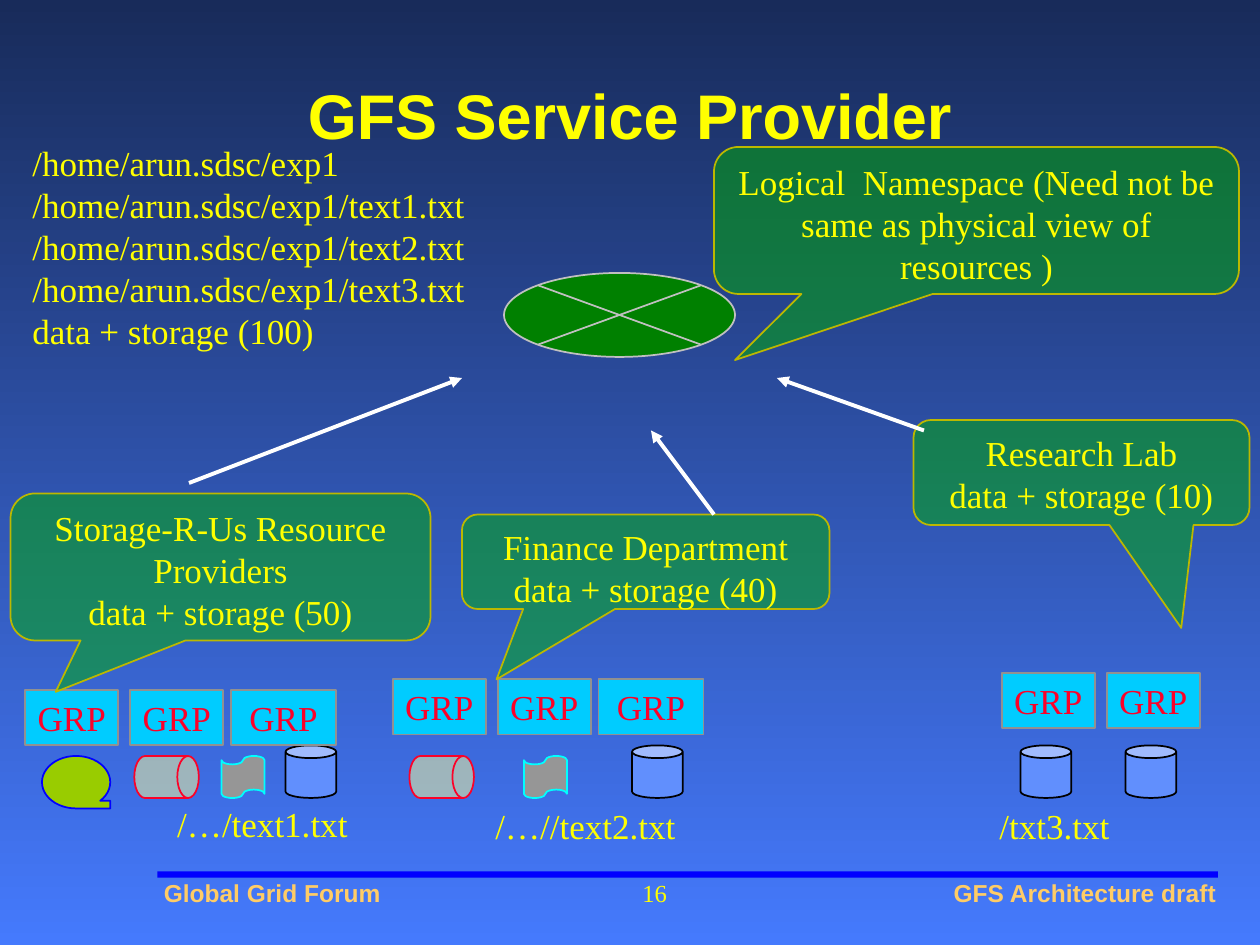
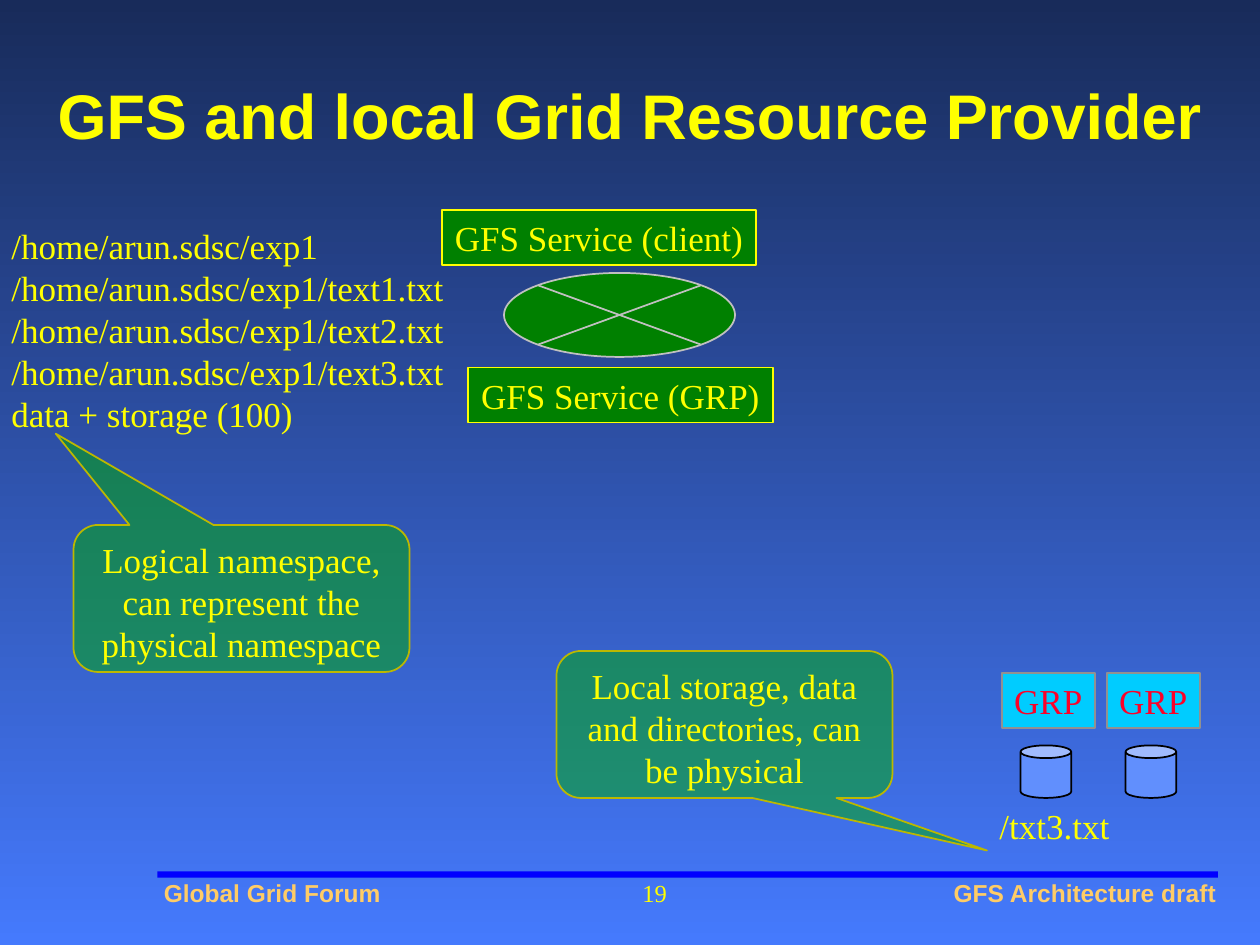
from dataclasses import dataclass

from lxml import etree
from pptx import Presentation
from pptx import util as u
from pptx.dml.color import RGBColor
from pptx.enum import shapes, text
from pptx.oxml.ns import qn

MSO = shapes.MSO_SHAPE
COLS, ROWS = 120, 90
WIDTH, HEIGHT = u.Inches(10), u.Inches(7.5)


@dataclass(frozen=True)
class Theme:
    sky_top: str = "182B5A"
    sky_bottom: str = "457AFD"
    bar: str = "0000FF"
    yellow: str = "FFFF00"
    footer: str = "FFCC66"
    red: str = "FC0128"
    cyan: str = "00CCFF"
    gray: str = "919191"
    service: str = "008000"
    junction_line: str = "C0C0C0"
    callout: str = "00AE00"
    callout_line: str = "BCB800"
    arrow: str = "FFFFFF"
    serif: str = "Times New Roman"
    sans: str = "Arial"
    title_size: int = 36
    body_size: int = 20
    footer_size: int = 14
    body_leading: int = 24


T = Theme()
DEVICES = {
    "can": (MSO.CAN, 71, 4.83, 5, "618FFD", "000000", None),
    "drum": (MSO.FLOWCHART_DIRECT_ACCESS_STORAGE, 72, 6.14, 4, "FFFF99", T.red, 50),
    "reel": (MSO.FLOWCHART_SEQUENTIAL_ACCESS_STORAGE, 72, 6.5, 5, "99CC00", "0000FF", None),
    "tape": (MSO.FLOWCHART_PUNCHED_TAPE, 72, 4.1, 4, "969696", "00FFFF", None),
}
GRP_SLOTS = ((0, 8.86), (10, 8.86), (19.6, 10))
NAMESPACE = "\n".join((
    "/home/arun.sdsc/exp1",
    *(f"/home/arun.sdsc/exp1/text{n}.txt" for n in (1, 2, 3)),
    "data + storage (100)",
))


def col(n):
    return u.Emu(round(n * WIDTH / COLS))


def row(n):
    return u.Emu(round(n * HEIGHT / ROWS))


def place(box):
    x, y, w, h = box
    return col(x), row(y), col(w), row(h)


def rgb(code):
    return RGBColor.from_string(code)


def write(sp, content, size=T.body_size, font=T.serif, color=T.yellow, bold=False,
          align="LEFT", anchor="TOP", wrap=True, inset=0.1, leading=None):
    tf = sp.text_frame
    tf.word_wrap = wrap
    tf.auto_size = text.MSO_AUTO_SIZE.NONE if wrap else text.MSO_AUTO_SIZE.SHAPE_TO_FIT_TEXT
    tf.vertical_anchor = text.MSO_ANCHOR[anchor]
    tf.margin_left, tf.margin_right = u.Inches(inset), u.Inches(0.1)
    tf.margin_top = tf.margin_bottom = u.Inches(0.05)
    for i, line in enumerate(content.split("\n")):
        p = tf.add_paragraph() if i else tf.paragraphs[0]
        p.alignment = text.PP_ALIGN[align]
        if leading:
            p.line_spacing = u.Pt(leading)
        r = p.add_run()
        r.text = line
        r.font.size, r.font.name, r.font.bold = u.Pt(size), font, bold
        r.font.color.rgb = rgb(color)


def add_text(s, box, content, **fmt):
    write(s.shapes.add_textbox(*place(box)), content, **fmt)


def add_shape(s, kind, box, fill, line=None, alpha=None):
    sp = s.shapes.add_shape(kind, *place(box))
    sp.shadow.inherit = False
    sp.fill.solid()
    sp.fill.fore_color.rgb = rgb(fill)
    if alpha:
        clr = sp.element.spPr.find(qn("a:solidFill"))[0]
        etree.SubElement(clr, qn("a:alpha"), val=str(alpha * 1000))
    if line:
        sp.line.color.rgb = rgb(line)
        sp.line.width = u.Pt(1)
    else:
        sp.line.fill.background()
    return sp


def add_label(s, box, content, fill, line, color=T.yellow):
    sp = add_shape(s, MSO.RECTANGLE, box, fill, line)
    write(sp, content, color=color, align="CENTER", anchor="MIDDLE",
          wrap=False, leading=T.body_leading)


def add_grps(s, left, top, count):
    for offset, width in GRP_SLOTS[:count]:
        add_label(s, (left + offset, top, width, 5.25), "GRP", T.cyan, T.gray, T.red)


def add_devices(s, *devices):
    for name, left in devices:
        kind, top, w, h, fill, line, alpha = DEVICES[name]
        add_shape(s, kind, (left, top, w, h), fill, line, alpha)


def add_callout(s, box, tip, content):
    x, y, w, h = box
    sp = add_shape(s, MSO.ROUNDED_RECTANGULAR_CALLOUT, box, T.callout, T.callout_line, 50)
    sp.adjustments[0] = (tip[0] - x) / w - 0.5
    sp.adjustments[1] = (tip[1] - y) / h - 0.5
    write(sp, content, align="CENTER", leading=T.body_leading)


def add_arrow(s, start, end):
    c = s.shapes.add_connector(shapes.MSO_CONNECTOR.STRAIGHT,
                               col(start[0]), row(start[1]), col(end[0]), row(end[1]))
    c.line.color.rgb = rgb(T.arrow)
    c.line.width = u.Pt(2.25)
    sp_pr = c.element.spPr
    etree.SubElement(sp_pr.find(qn("a:ln")), qn("a:tailEnd"), type="triangle")
    etree.SubElement(sp_pr, qn("a:effectLst"))


def add_path(s, left, top, width, content):
    add_text(s, (left, top, width, 5.25), content, wrap=False, leading=T.body_leading)


def add_namespace(s, left, top):
    add_text(s, (left, top, 43.6, 21.2), NAMESPACE, wrap=False, leading=T.body_leading)


def add_junction(s):
    add_shape(s, MSO.FLOWCHART_SUMMING_JUNCTION, (48, 26, 22, 8), T.service, T.junction_line)


def add_research_store(s):
    add_devices(s, ("can", 97.2), ("can", 107.2))
    add_path(s, 94, 76, 13, "/txt3.txt")
    add_grps(s, 95.4, 64.1, 2)


def set_background(prs):
    fill = prs.slide_master.background.fill
    fill.gradient()
    fill.gradient_angle = 270
    for stop, code in zip(fill.gradient_stops, (T.sky_top, T.sky_bottom)):
        stop.color.rgb = rgb(code)


def new_slide(prs, title, number):
    s = prs.slides.add_slide(prs.slide_layouts[6])
    add_shape(s, MSO.RECTANGLE, (15, 83, 101, 0.6), T.bar)
    add_text(s, (60, 83, 6, 4), str(number), size=T.footer_size)
    footer = dict(size=T.footer_size, font=T.sans, color=T.footer, bold=True, inset=0.05)
    add_text(s, (15, 83, 35, 4), "Global Grid Forum", **footer)
    add_text(s, (66, 83, 51, 4), "GFS Architecture draft", align="RIGHT", **footer)
    add_text(s, (2, 4, 116, 13.7), title, size=T.title_size, font=T.sans, bold=True,
             align="CENTER", anchor="MIDDLE")
    return s


def service_provider(prs):
    s = new_slide(prs, "GFS Service Provider", 16)
    add_devices(s, ("can", 27.2), ("drum", 12.8), ("reel", 4), ("tape", 21.1),
                ("can", 60.2), ("drum", 39), ("tape", 49.9))
    add_path(s, 15.7, 75.8, 18.6, "/…/text1.txt")
    add_path(s, 46, 76, 19.6, "/…//text2.txt")
    add_grps(s, 2.4, 65.7, 3)
    add_grps(s, 37.4, 64.7, 3)
    add_research_store(s)
    add_junction(s)
    add_callout(s, (1, 47, 40, 14), (5.3, 65.9),
                "Storage-R-Us Resource Providers\ndata + storage (50)")
    add_callout(s, (44, 49, 35, 9), (47.3, 64.7), "Finance Department\ndata + storage (40)")
    add_callout(s, (87, 40, 32, 10), (112.5, 59.8), "Research Lab\ndata + storage (10)")
    add_namespace(s, 1.9, 12.9)
    for start, end in (((18, 46), (44, 36)), ((68, 49), (62, 41)), ((88, 41), (74, 36))):
        add_arrow(s, start, end)
    add_callout(s, (68, 14, 50, 14), (70, 34.3),
                "Logical  Namespace (Need not be same as physical view of resources )")


def local_provider(prs):
    s = new_slide(prs, "GFS and local Grid Resource Provider", 19)
    add_research_store(s)
    add_junction(s)
    add_label(s, (42.1, 20, 29.9, 5.25), "GFS Service (client)", T.service, T.yellow)
    add_label(s, (44.6, 35, 29, 5.25), "GFS Service (GRP)", T.service, T.yellow)
    add_namespace(s, -0.1, 20.8)
    add_callout(s, (53, 62, 32, 14), (94, 81),
                "Local storage, data and directories, can be physical")
    add_callout(s, (7, 50, 32, 14), (5.3, 41.3),
                "Logical namespace, can represent the physical namespace")


def main():
    prs = Presentation()
    prs.slide_width, prs.slide_height = WIDTH, HEIGHT
    set_background(prs)
    service_provider(prs)
    local_provider(prs)
    prs.save("out.pptx")


if __name__ == "__main__":
    main()
